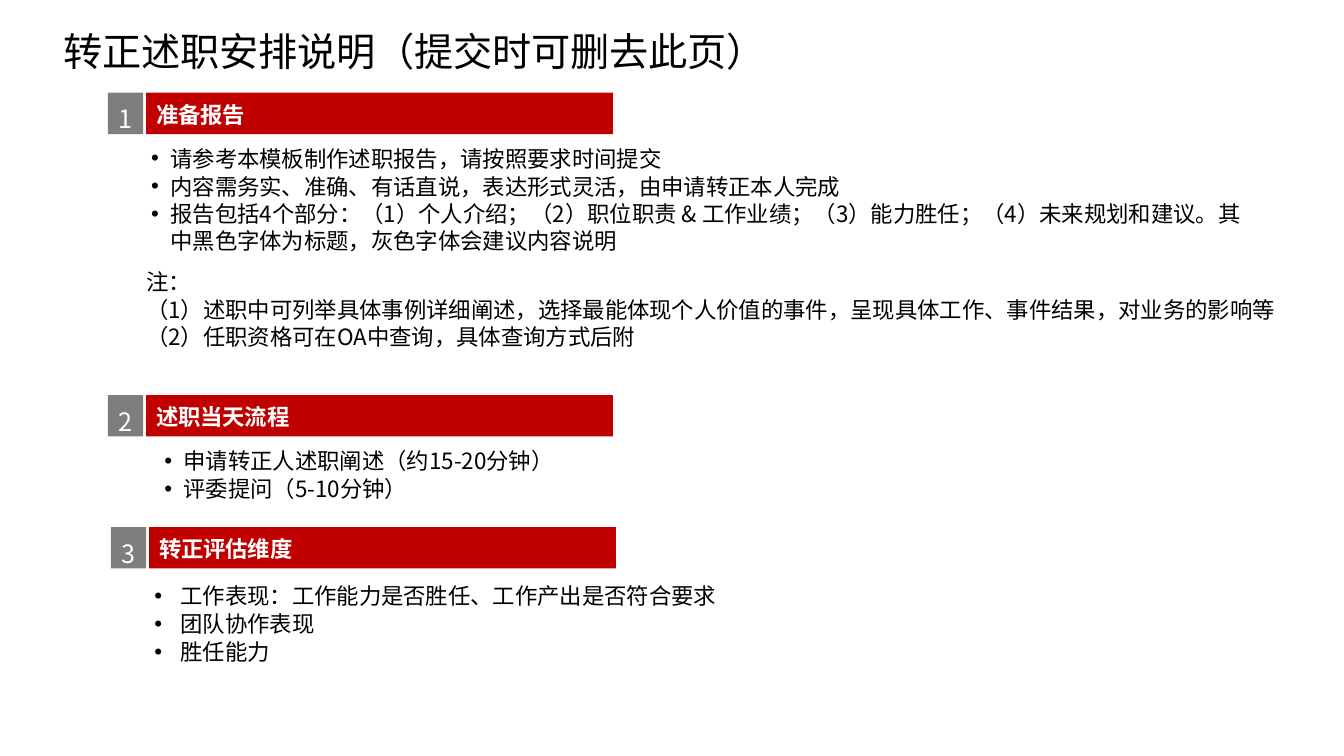
from pptx import Presentation
from pptx import util as u
from pptx.dml.color import RGBColor
from pptx.enum import shapes, text
from lxml import etree

THEME = {
    "font": "Noto Sans CJK SC", "leading": 1.19, "gap": 0.9,
    "red": "C00000", "gray": "7E7E7E", "black": "000000", "white": "FFFFFF",
    "title": 28, "number": 18, "body": 16,
}
TITLE = "转正述职安排说明（提交时可删去此页）"
# heading, left and top of the band; list left, top, width, text indent; items
SECTIONS = [
    ("准备报告", (1.07, 0.92), (1.49, 1.42, 10.93, 0.2), [
        "请参考本模板制作述职报告，请按照要求时间提交",
        "内容需务实、准确、有话直说，表达形式灵活，由申请转正本人完成",
        "报告包括4个部分：（1）个人介绍；（2）职位职责 & 工作业绩；（3）能力胜任；"
        "（4）未来规划和建议。其中黑色字体为标题，灰色字体会建议内容说明",
    ]),
    ("述职当天流程", (1.07, 3.92), (1.62, 4.42, 10.93, 0.2), [
        "申请转正人述职阐述（约15-20分钟）",
        "评委提问（5-10分钟）",
    ]),
    ("转正评估维度", (1.1, 5.23), (1.52, 5.76, 11.26, 0.27), [
        "工作表现：工作能力是否胜任、工作产出是否符合要求",
        "团队协作表现",
        "胜任能力",
    ]),
]
NOTES = [
    "注：",
    "（1）述职中可列举具体事例详细阐述，选择最能体现个人价值的事件，"
    "呈现具体工作、事件结果，对业务的影响等",
    "（2）任职资格可在OA中查询，具体查询方式后附",
]
BAND_H, NUMBER_W, HEADING_W, HEADING_DX = 0.41, 0.35, 4.63, 0.38
BULLET_X = 0.01


def write(sp, lines, size, color="black", bold=False, left=0.0, top=0.02,
          anchor="TOP", bullet_at=None, spacing=0):
    """Fill a shape with paragraphs in one format, bulleted when bullet_at is set."""
    tf = sp.text_frame
    frame = {"word_wrap": True, "margin_left": 0, "margin_right": 0,
             "margin_top": u.Inches(top), "margin_bottom": 0,
             "vertical_anchor": getattr(text.MSO_ANCHOR, anchor)}
    for name, value in frame.items():
        setattr(tf, name, value)
    for i, line in enumerate(lines):
        p = tf.paragraphs[0] if i == 0 else tf.add_paragraph()
        layout = {"alignment": text.PP_ALIGN.LEFT,
                  "space_before": u.Pt(THEME["gap"] if i else 0),
                  "line_spacing": u.Pt(round(THEME[size] * THEME["leading"], 1))}
        for name, value in layout.items():
            setattr(p, name, value)
        pPr = p._p.get_or_add_pPr()
        pPr.set("marL", str(u.Inches(left)))
        if bullet_at is not None:
            pPr.set("indent", str(u.Inches(bullet_at - left)))
            ns = pPr.nsmap["a"]
            etree.SubElement(pPr, f"{{{ns}}}buFont", typeface="Arial")
            etree.SubElement(pPr, f"{{{ns}}}buChar", char="•")
        r = p.add_run()
        r.text = line
        for name, value in {"size": u.Pt(THEME[size]), "bold": bold,
                            "name": THEME["font"]}.items():
            setattr(r.font, name, value)
        r.font.color.rgb = RGBColor.from_string(THEME[color])
        rPr = r._r.get_or_add_rPr()
        etree.SubElement(rPr, f"{{{rPr.nsmap['a']}}}ea", typeface=THEME["font"])
        if spacing:
            rPr.set("spc", str(spacing))


def box(s, x, y, w, h):
    """Add a text box measured in inches."""
    return s.shapes.add_textbox(*map(u.Inches, (x, y, w, h)))


def bar(s, x, y, w, fill):
    """Add a flat rectangle of the band height."""
    sp = s.shapes.add_shape(shapes.MSO_SHAPE.RECTANGLE,
                            *map(u.Inches, (x, y, w, BAND_H)))
    sp.shadow.inherit = False
    sp.fill.solid()
    sp.fill.fore_color.rgb = RGBColor.from_string(THEME[fill])
    sp.line.fill.background()
    return sp


def section(s, number, heading, band, area, items):
    """Add a numbered heading band and the bullet list below it."""
    x, y = band
    write(bar(s, x + HEADING_DX, y, HEADING_W, "red"), [heading], "body", "white",
          bold=True, left=0.1, anchor="MIDDLE", spacing=-10)
    write(bar(s, x, y, NUMBER_W, "gray"), [str(number)], "number", "white",
          left=0.11, top=0.11)
    lx, ly, width, indent = area
    height = len(items) * 0.28
    write(box(s, lx, ly, width, height), items, "body",
          left=indent, bullet_at=BULLET_X)


prs = Presentation()
prs.slide_width, prs.slide_height = u.Inches(13.33), u.Inches(7.5)
s = prs.slides.add_slide(prs.slide_layouts[6])
write(box(s, 0.62, 0.26, 9.05, 0.48), [TITLE], "title", left=0.01, spacing=-10)
for number, parts in enumerate(SECTIONS, 1):
    section(s, number, *parts)
write(box(s, 1.44, 2.64, 11.42, 0.86), NOTES, "body", left=0.01)
prs.save("out.pptx")
